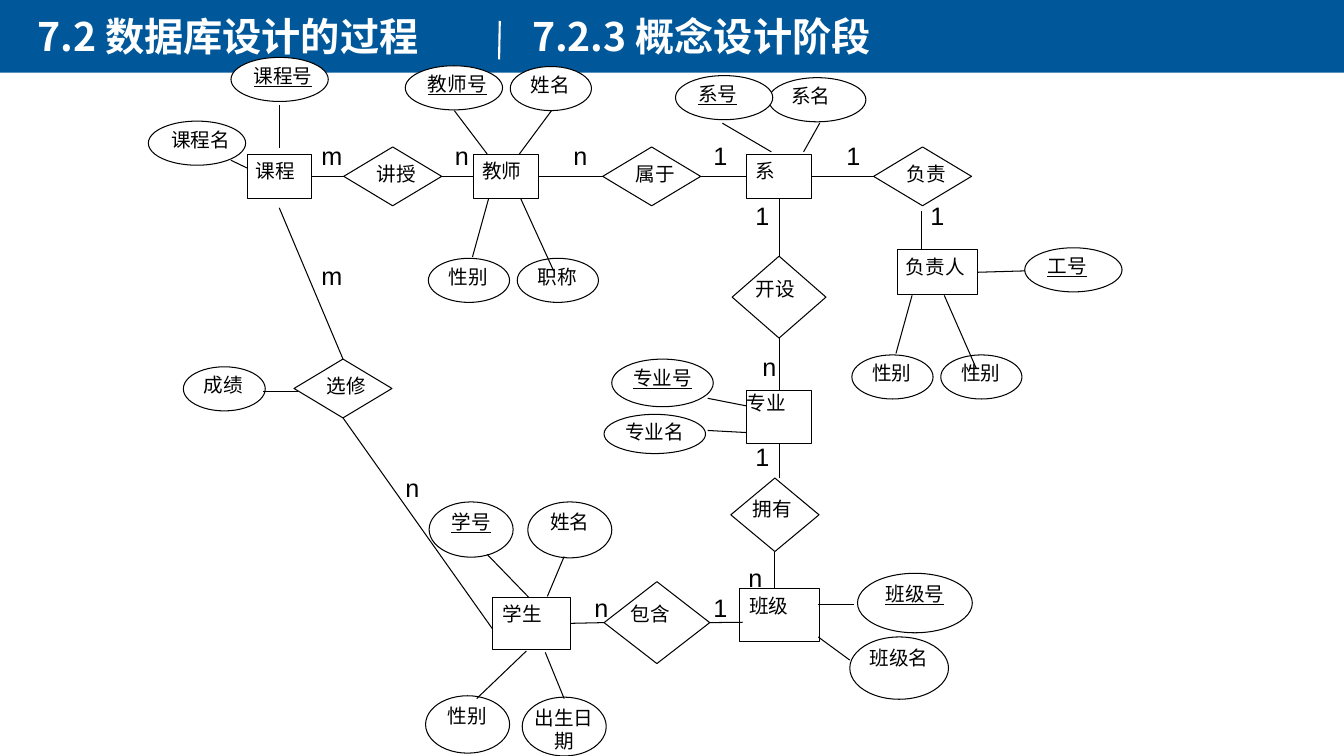
"""Build the entity-relationship slide of the conceptual design stage."""
from lxml.etree import SubElement
from pptx import Presentation
from pptx.dml.color import RGBColor
from pptx.enum.shapes import MSO_CONNECTOR, MSO_SHAPE
from pptx.enum.text import MSO_ANCHOR, MSO_AUTO_SIZE, PP_ALIGN
from pptx.oxml.ns import qn
from pptx.util import Pt

CHAPTER, SECTION = "7.2 数据库设计的过程", "7.2.3 概念设计阶段"
BLUE, WHITE, BLACK = "00589A", "FFFFFF", "000000"
CJK, SERIF, SANS = "Noto Sans CJK SC", "Times New Roman", "Arial"
TOP, LEFT, BOTTOM, RIGHT = range(4)
RECTANGLE = MSO_SHAPE.FLOWCHART_PROCESS
DIAMOND = MSO_SHAPE.FLOWCHART_DECISION
OVAL = MSO_SHAPE.FLOWCHART_CONNECTOR

# Each group: shape, insets, alignment, nodes as (text, left, top, width, height)
GROUPS = [
    (RECTANGLE, (6, 3.6, 7.2, 3.6), PP_ALIGN.JUSTIFY, [
        ("课程", 176.5, 110, 46, 32), ("教师", 338.5, 110, 46, 32),
        ("系", 533.5, 110, 46, 32), ("负责人", 641, 178.5, 57, 32)]),
    (RECTANGLE, (7.2, 3.6, 7.2, 3.6), PP_ALIGN.JUSTIFY, [
        ("班级", 528, 420.5, 57.5, 37.5), ("学生", 352, 426.5, 55.5, 37.5)]),
    (RECTANGLE, (0, 0, 0, 0), PP_ALIGN.JUSTIFY, [("专业", 533.5, 279, 46, 37.5)]),
    (DIAMOND, (6, 0, 0, 0), PP_ALIGN.JUSTIFY, [
        ("讲授", 245.5, 105, 70, 42), ("属于", 430.5, 105, 70, 42),
        ("负责", 624, 105, 70, 42), ("选修", 210, 256.5, 70, 42)]),
    (DIAMOND, (0, 0, 0, 0), PP_ALIGN.JUSTIFY, [
        ("开设", 523, 183, 67, 58.5), ("拥有", 522, 341.5, 63, 52.5),
        ("包含", 431.5, 415.5, 75.5, 58.5)]),
    (OVAL, (6, 0, 0, 0), PP_ALIGN.JUSTIFY, [
        ("课程名", 106, 86.5, 69.5, 31.5), ("课程号", 165, 41, 69.5, 31.5),
        ("教师号", 289.5, 47, 69.5, 31.5), ("姓名", 364.5, 47.5, 58, 31.5),
        ("性别", 306, 184.5, 58, 31.5), ("职称", 369.5, 184.5, 58, 31.5),
        ("系名", 549, 55.5, 69.5, 31.5), ("系号", 482.5, 54, 69.5, 31.5),
        ("性别", 608.5, 253.5, 58, 31.5), ("性别", 672, 253.5, 58, 31.5),
        ("工号", 732, 177, 69.5, 31.5), ("成绩", 131, 262, 58.5, 31.5)]),
    (OVAL, (0, 0, 0, 0), PP_ALIGN.CENTER, [
        ("专业名", 431.5, 296, 72.5, 28), ("专业号", 437, 256.5, 72.5, 34),
        ("班级号", 612.5, 409.5, 82, 42.5), ("班级名", 607, 455, 70.5, 44.5),
        ("学号", 306.5, 358.5, 60, 39.5), ("姓名", 377, 358.5, 60, 40),
        ("性别", 304, 497, 60, 41), ("出生日期", 373, 498, 60, 42)]),
]
KEYS = {"课程号", "教师号", "系号", "工号", "专业号", "班级号", "学号"}

# Each end of a link is a (node, side) pair or an (x, y) point
LINKS = [
    (("课程", RIGHT), ("讲授", LEFT)), (("讲授", RIGHT), ("教师", LEFT)),
    (("教师", RIGHT), ("属于", LEFT)), (("属于", RIGHT), ("系", LEFT)),
    (("系", RIGHT), ("负责", LEFT)), (("系", BOTTOM), ("开设", TOP)),
    (("开设", BOTTOM), ("专业", TOP)), (("专业", BOTTOM), (556.5, 341.5)),
    (("拥有", BOTTOM), (553.5, 421)), (("学生", RIGHT), ("包含", LEFT)),
    (("包含", RIGHT), (530.5, 444.5)), (("负责人", RIGHT), (732, 193.5)),
    ((199.5, 148.5), ("选修", TOP)), (("选修", BOTTOM), (352, 449.5)),
    ((188, 279.5), (213, 279.5)), ((658, 150.5), (658, 178.5)),
    ((165, 114.5), (176.5, 120)), ((199.5, 75), (199.5, 106)),
    ((324.5, 79), (348, 110)), ((394, 79), (371, 110)),
    ((349, 142), (337.5, 183.5)), ((372, 142), (395.5, 193.5)),
    ((516, 88), (551, 108.5)), ((585.5, 88), (574, 108.5)),
    ((651.5, 211), (640, 252.5)), ((674.5, 211), (697.5, 263.5)),
    ((505.5, 284.5), (533.5, 290)), ((505.5, 307.5), (533.5, 309)),
    ((584.5, 432), (610, 432)), ((584.5, 455), (607, 471.5)),
    ((348, 396), (378, 427)), ((403, 397.5), (391, 426)),
    ((376, 465), (340.5, 499)), ((389.5, 466), (403, 499)),
]

# Cardinalities by text row: (mark, centre x)
CARDINALITIES = {
    0: [("m", 237), ("n", 330), ("n", 414.5), ("1", 514.5), ("1", 609.5)],
    2: [("1", 544.5), ("1", 669.5)],
    4: [("m", 237)],
    7: [("n", 549.5)],
    10: [("1", 544.5)],
    11: [("n", 294.5)],
    14: [("n", 539.5)],
    15: [("n", 429.5), ("1", 514.5)],
}
FIRST_ROW, ROW_STEP, MARK_WIDTH, MARK_HEIGHT = 100, 21.55, 20, 21


def color(value):
    return RGBColor.from_string(value)


def place(shape, *bounds):
    shape.left, shape.top, shape.width, shape.height = map(Pt, bounds)


def write(shape, text, font, size, ink, align=PP_ALIGN.LEFT,
          insets=(7.2, 3.6, 7.2, 3.6), bold=False, underline=None):
    frame = shape.text_frame
    frame.word_wrap = True
    frame.auto_size = MSO_AUTO_SIZE.NONE
    frame.vertical_anchor = MSO_ANCHOR.TOP
    frame.margin_left, frame.margin_top, frame.margin_right, frame.margin_bottom = map(Pt, insets)
    frame.text = text
    para = frame.paragraphs[0]
    para.alignment = align
    para.font.name, para.font.size = font, Pt(size)
    para.font.bold, para.font.underline = bold, underline
    para.font.color.rgb = color(ink)
    defaults = para._p.pPr.find(qn("a:defRPr"))
    SubElement(defaults, qn("a:ea")).set("typeface", CJK)


def add_line(shapes, start, end, ink, width, nodes):
    points = [(0, 0) if isinstance(spot[0], str) else spot for spot in (start, end)]
    line = shapes.add_connector(MSO_CONNECTOR.STRAIGHT, *(Pt(v) for point in points for v in point))
    for spot, connect in ((start, line.begin_connect), (end, line.end_connect)):
        if isinstance(spot[0], str):
            connect(nodes[spot[0]], spot[1])
    line.line.color.rgb = color(ink)
    line.line.width = Pt(width)
    SubElement(line._element.spPr, qn("a:effectLst"))


def add_header(slide):
    band = slide.shapes.add_shape(MSO_SHAPE.RECTANGLE, 0, Pt(-1.5), Pt(960), Pt(53.5))
    band.shadow.inherit = False
    band.fill.solid()
    band.fill.fore_color.rgb = color(BLUE)
    band.line.fill.background()
    title = slide.shapes.title
    title.element.addprevious(band.element)
    place(title, 19.5, 5, 398, 41)
    write(title, CHAPTER, CJK, 28, WHITE, bold=True)
    section = slide.shapes.add_textbox(Pt(373), Pt(5.5), Pt(587), Pt(41))
    write(section, SECTION, CJK, 28, WHITE, bold=True)
    add_line(slide.shapes, (357, 15), (356.5, 42.5), WHITE, 1.5, {})


def add_nodes(shapes):
    nodes = {}
    for kind, insets, align, members in GROUPS:
        for text, *bounds in members:
            node = shapes.add_shape(kind, *map(Pt, bounds))
            node.shadow.inherit = False
            node.fill.solid()
            node.fill.fore_color.rgb = color(WHITE)
            node.line.color.rgb = color(BLACK)
            node.line.width = Pt(0)
            write(node, text, SERIF, 14, BLACK, align, insets, underline=text in KEYS)
            nodes[text] = node
    return nodes


def main():
    deck = Presentation()
    deck.slide_width, deck.slide_height = Pt(960), Pt(540)
    slide = deck.slides.add_slide(deck.slide_layouts[5])
    add_header(slide)
    nodes = add_nodes(slide.shapes)
    for start, end in LINKS:
        add_line(slide.shapes, start, end, BLACK, 0.75, nodes)
    for row, marks in CARDINALITIES.items():
        for mark, center in marks:
            box = slide.shapes.add_textbox(
                Pt(center - MARK_WIDTH / 2), Pt(FIRST_ROW + row * ROW_STEP),
                Pt(MARK_WIDTH), Pt(MARK_HEIGHT))
            write(box, mark, SANS, 18, BLACK, PP_ALIGN.CENTER, (0, 0, 0, 0))
    deck.save("out.pptx")


if __name__ == "__main__":
    main()
